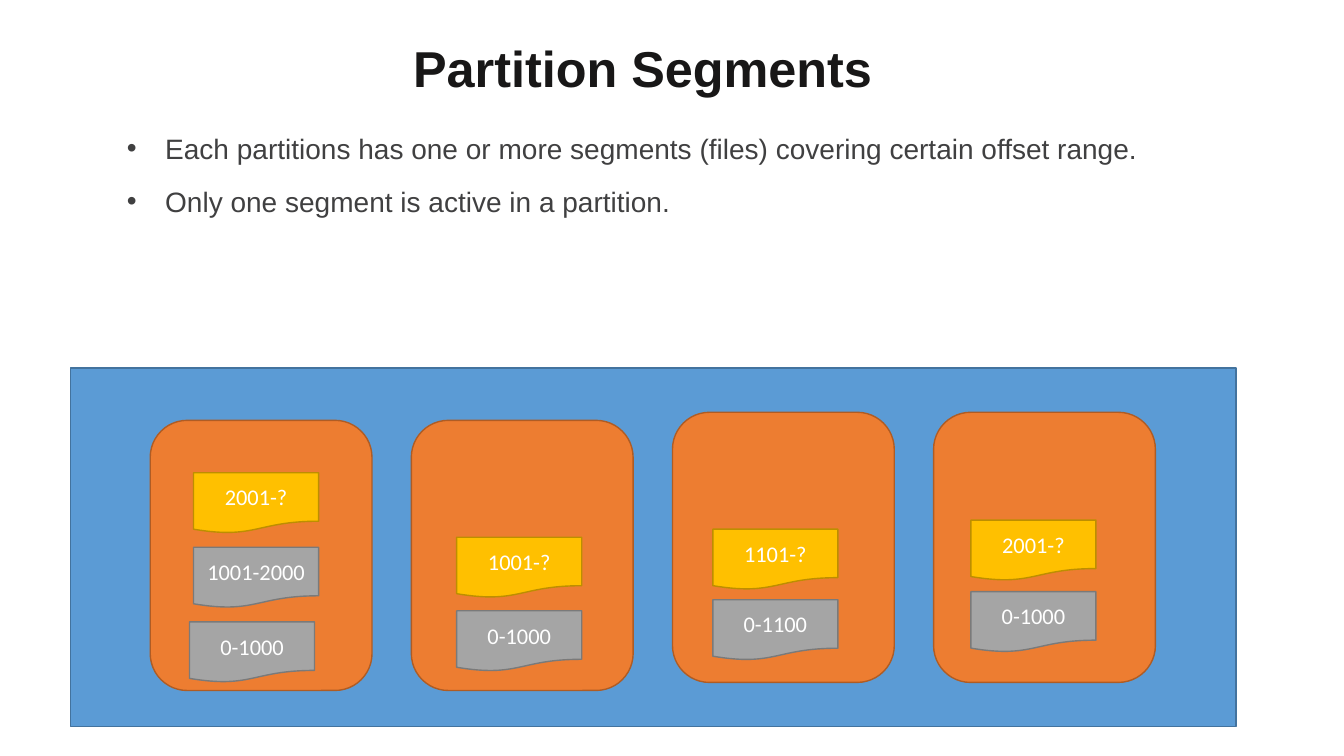
from lxml import etree
from pptx import Presentation
from pptx.dml.color import RGBColor
from pptx.enum.shapes import MSO_SHAPE
from pptx.enum.text import MSO_ANCHOR, PP_ALIGN
from pptx.oxml.ns import qn
from pptx.util import Inches, Pt

RECT = MSO_SHAPE.RECTANGLE
ROUNDED = MSO_SHAPE.ROUNDED_RECTANGLE
DOCUMENT = MSO_SHAPE.FLOWCHART_DOCUMENT
CENTER = PP_ALIGN.CENTER
BOTTOM = MSO_ANCHOR.BOTTOM
MIDDLE = MSO_ANCHOR.MIDDLE

TITLE_COLOR = RGBColor(0x18, 0x17, 0x17)
BODY_COLOR = RGBColor(0x40, 0x40, 0x41)
WHITE = RGBColor(0xFF, 0xFF, 0xFF)
BLUE = RGBColor(0x5B, 0x9B, 0xD5)
BLUE_EDGE = RGBColor(0x43, 0x73, 0x9E)
ORANGE = RGBColor(0xED, 0x7D, 0x31)
ORANGE_EDGE = RGBColor(0xAF, 0x5C, 0x24)
GRAY = RGBColor(0xA5, 0xA5, 0xA5)
GRAY_EDGE = RGBColor(0x7A, 0x7A, 0x7A)
GOLD = RGBColor(0xFF, 0xC0, 0x00)
GOLD_EDGE = RGBColor(0xBD, 0x8E, 0x00)

BULLETS = [
    "Each partitions has one or more segments (files) covering certain offset range.",
    "Only one segment is active in a partition.",
]
PARTITION_LEFT, PARTITION_STEP = 0.79, 2.59
PARTITION_W, PARTITION_H = 2.2, 2.68
SEGMENT_W, SEGMENT_H = 1.24, 0.6
# Each partition: top within the broker, then segments as (label, left, top).
PARTITIONS = [
    (0.52, [("0-1000", 0.39, 2.0), ("1001-2000", 0.43, 1.26), ("2001-?", 0.43, 0.52)]),
    (0.52, [("0-1000", 0.45, 1.89), ("1001-?", 0.45, 1.16)]),
    (0.44, [("0-1100", 0.4, 1.86), ("1101-?", 0.4, 1.16)]),
    (0.44, [("0-1000", 0.37, 1.78), ("2001-?", 0.37, 1.07)]),
]


def style_run(r, font, size, color, bold=False):
    """Set the font, size, colour and weight of a run."""
    r.font.name = font
    r.font.size = Pt(size)
    r.font.color.rgb = color
    r.font.bold = bold


def add_box(s, kind, x, y, w, h, fill, edge):
    """Add a filled, outlined shape without a shadow."""
    sp = s.shapes.add_shape(kind, Inches(x), Inches(y), Inches(w), Inches(h))
    sp.shadow.inherit = False
    sp.fill.solid()
    sp.fill.fore_color.rgb = fill
    sp.line.color.rgb = edge
    sp.line.width = Pt(1)
    return sp


def add_title(s, x, y, w, h):
    """Add the centred slide title."""
    tf = s.shapes.add_textbox(Inches(x), Inches(y), Inches(w), Inches(h)).text_frame
    tf.word_wrap = True
    tf.vertical_anchor = BOTTOM
    tf.text = "Partition Segments"
    p = tf.paragraphs[0]
    p.alignment = CENTER
    p.line_spacing = 0.9
    style_run(p.runs[0], "Arial", 36, TITLE_COLOR, True)


def add_bullets(s, x, y, w, h):
    """Add the bulleted statements."""
    tf = s.shapes.add_textbox(Inches(x), Inches(y), Inches(w), Inches(h)).text_frame
    tf.word_wrap = True
    tf.text = "\n".join(BULLETS)
    for p in tf.paragraphs:
        p.line_spacing = Pt(32)
        p.space_after = Pt(6)
        style_run(p.runs[0], "Arial", 20, BODY_COLOR)
        props = p._p.get_or_add_pPr()
        props.set("marL", str(Inches(0.38)))
        props.set("indent", str(-Inches(0.38)))
        etree.SubElement(props, qn("a:buFont")).set("typeface", "Arial")
        etree.SubElement(props, qn("a:buChar")).set("char", "•")


def add_segment(s, x, y, label, active):
    """Add one segment file, gold when it is active."""
    fill, edge = (GOLD, GOLD_EDGE) if active else (GRAY, GRAY_EDGE)
    sp = add_box(s, DOCUMENT, x, y, SEGMENT_W, SEGMENT_H, fill, edge)
    tf = sp.text_frame
    tf.vertical_anchor = MIDDLE
    tf.text = label
    p = tf.paragraphs[0]
    p.alignment = CENTER
    style_run(p.runs[0], "Calibri", 16, WHITE)


def add_partition(s, x, y, segments):
    """Add a partition with its segments, the last one active."""
    add_box(s, ROUNDED, x, y, PARTITION_W, PARTITION_H, ORANGE, ORANGE_EDGE)
    for i, (label, left, top) in enumerate(segments):
        add_segment(s, x + left, y + top, label, i == len(segments) - 1)


def add_broker(s, x, y, w, h):
    """Add the blue panel and its row of partitions."""
    add_box(s, RECT, x, y, w, h, BLUE, BLUE_EDGE)
    for i, (top, segments) in enumerate(PARTITIONS):
        add_partition(s, x + PARTITION_LEFT + i * PARTITION_STEP, y + top, segments)


def main():
    """Build the slide and save it."""
    prs = Presentation()
    prs.slide_width = Inches(13.33)
    prs.slide_height = Inches(7.5)
    s = prs.slides.add_slide(prs.slide_layouts[6])
    add_title(s, 0.94, 0.29, 10.87, 0.74)
    add_bullets(s, 1.16, 1.14, 11.18, 1.5)
    add_broker(s, 0.7, 3.65, 11.56, 3.56)
    prs.save("out.pptx")


if __name__ == "__main__":
    main()
